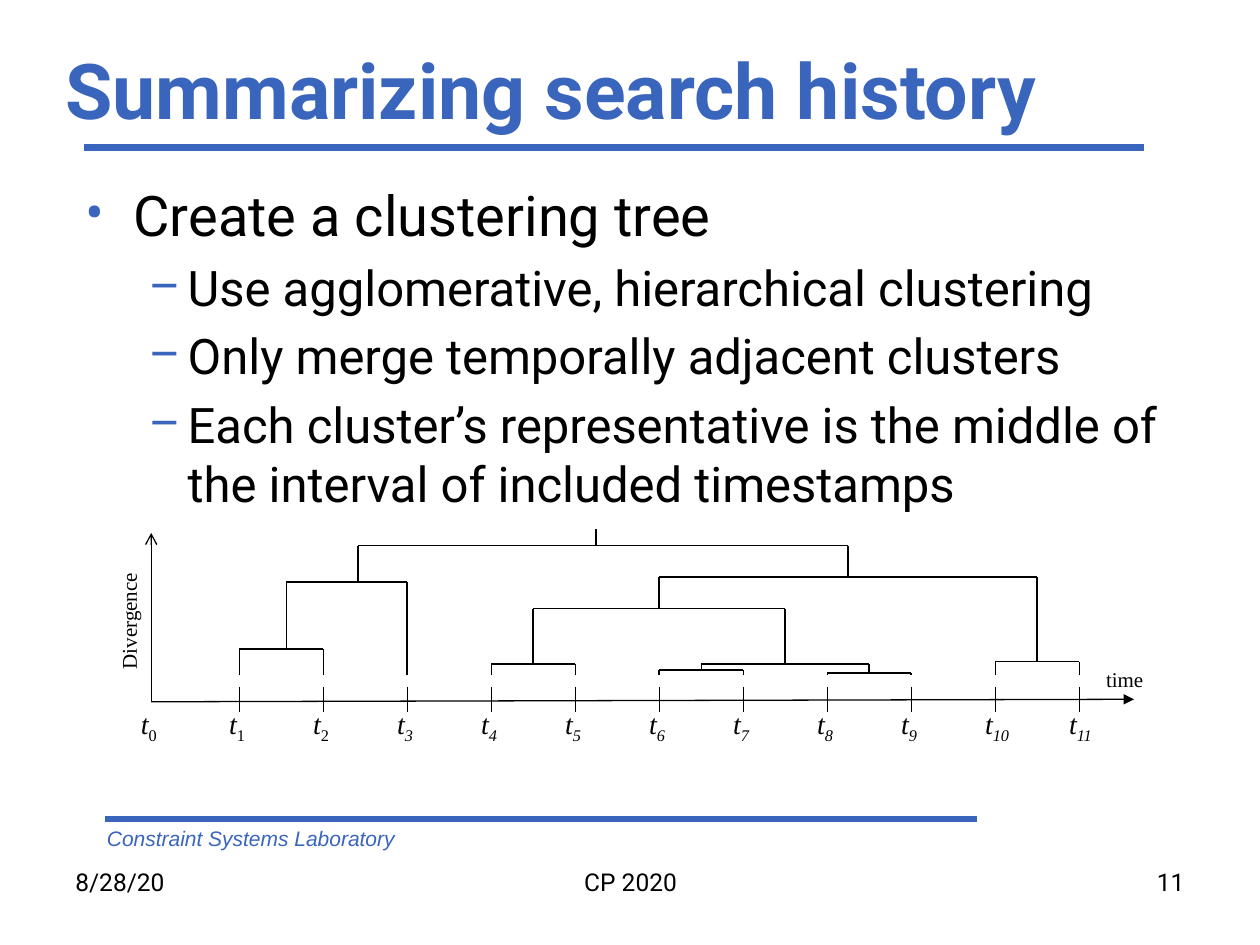
from collections import namedtuple
from dataclasses import dataclass

from lxml.etree import SubElement
from pptx import Presentation
from pptx.dml.color import RGBColor
from pptx.enum.text import MSO_ANCHOR, MSO_AUTO_SIZE, PP_ALIGN
from pptx.oxml.ns import qn
from pptx.util import Inches, Pt

Box = namedtuple("Box", "x y w h")


@dataclass(frozen=True)
class Theme:
    """Hold the colours, fonts and type sizes."""
    blue: RGBColor = RGBColor(0x3A, 0x65, 0xBC)
    black: RGBColor = RGBColor(0, 0, 0)
    main: str = "Roboto"
    serif: str = "Times New Roman"
    sans: str = "Arial"
    title: int = 44
    list: tuple = (32, 28)
    foot: int = 14
    mark: int = 16
    small: int = 12
    bar: float = 4
    axis: float = 0.75
    branch: float = 1


THEME = Theme()
POINTS = [
    (0, "Create a clustering tree"),
    (1, "Use agglomerative, hierarchical clustering"),
    (1, "Only merge temporally adjacent clusters"),
    (1, "Each cluster’s representative is the middle of "
        "the interval of included timestamps"),
]
INDENTS = [(0.38, -0.38, "•"), (0.81, -0.31, "–")]
MERGES = [
    ("1", "2", 0.95, 0.04),
    ("4", "5", 1.07, 0),
    ("6", "7", 1.12, 0),
    ("8", "9", 1.14, 0),
    ("10", "11", 1.05, 0),
    ("1-2", "3", 0.42, 0.09),
    ("6-7", "8-9", 1.07, 0),
    ("4-5", "6-9", 0.63, 0),
    ("4-9", "10-11", 0.38, 0),
    ("1-3", "4-11", 0.13, -0.06),
]


def style(font, size, name=THEME.main, color=THEME.black, **more):
    """Apply format values to a font."""
    for key, value in {"size": Pt(size), "name": name, **more}.items():
        setattr(font, key, value)
    font.color.rgb = color


def place(shape, box):
    """Move a shape into a box."""
    for key, value in zip(("left", "top", "width", "height"), box):
        setattr(shape, key, Inches(value))


def rule(slide, start, end, width, color=THEME.black, **ends):
    """Draw a straight line, with arrowheads given by end name."""
    line = slide.shapes.add_connector(1, *map(Inches, (*start, *end)))
    line.line.width = Pt(width)
    line.line.color.rgb = color
    for name, kind in ends.items():
        SubElement(line.line._get_or_add_ln(), qn(f"a:{name}"), type=kind)
    SubElement(line._element.spPr, qn("a:effectLst"))


def label(slide, box, text, size, align=PP_ALIGN.LEFT, wrap=True, **font):
    """Add a text box with one formatted run and return it."""
    shape = slide.shapes.add_textbox(*map(Inches, box))
    shape.text_frame.word_wrap = wrap
    para = shape.text_frame.paragraphs[0]
    para.alignment = align
    run = para.add_run()
    run.text = text
    style(run.font, size, **font)
    return shape


def head(slide, box):
    """Fill the title and draw the bar below it."""
    title = slide.shapes.title
    place(title, box)
    title.text = "Summarizing search history"
    frame = title.text_frame
    frame.vertical_anchor = MSO_ANCHOR.MIDDLE
    frame.auto_size = MSO_AUTO_SIZE.NONE
    para = frame.paragraphs[0]
    para.alignment = PP_ALIGN.LEFT
    style(para.runs[0].font, THEME.title, color=THEME.blue, bold=True)
    y = box.y + box.h + 0.09
    rule(slide, (box.x + 0.25, y), (box.x + 8.66, y), THEME.bar, THEME.blue)


def points(slide, box):
    """Fill the body with the bullet list."""
    body = slide.placeholders[1]
    place(body, box)
    frame = body.text_frame
    frame.auto_size = MSO_AUTO_SIZE.NONE
    for i, (level, text) in enumerate(POINTS):
        para = frame.add_paragraph() if i else frame.paragraphs[0]
        para.level = level
        run = para.add_run()
        run.text = text
        style(run.font, THEME.list[level])
        margin, indent, sign = INDENTS[level]
        props = para._p.get_or_add_pPr()
        props.set("marL", str(Inches(margin)))
        props.set("indent", str(Inches(indent)))
        color = SubElement(props, qn("a:buClr"))
        SubElement(color, qn("a:srgbClr"), val=str(THEME.blue))
        SubElement(props, qn("a:buFont"), typeface=THEME.main)
        SubElement(props, qn("a:buChar"), char=sign)


def mark(slide, x, y, i):
    """Write a time mark with its subscript."""
    box = Box(x - 0.18, y, 0.34 if i < 10 else 0.42, 0.37)
    shape = label(slide, box, "t", THEME.mark, wrap=False,
                  name=THEME.serif, italic=True)
    sub = shape.text_frame.paragraphs[0].add_run()
    sub.text = str(i)
    style(sub.font, THEME.mark, THEME.serif, italic=i > 2)
    sub._r.get_or_add_rPr().set("baseline", "-25000")


def axes(slide, box, ticks):
    """Draw both axes with their names, ticks and time marks."""
    x, y, w, h = box
    rule(slide, (x, y + 1.37), (x + w, y + 1.35), THEME.axis,
         tailEnd="triangle")
    rule(slide, (x, y + 0.03), (x, y + 1.36), THEME.axis, headEnd="arrow")
    for tick in ticks:
        rule(slide, (tick, y + 1.25), (tick, y + 1.45), THEME.axis)
    for i, tick in enumerate([x, *ticks]):
        mark(slide, tick, y + h - 0.37, i)
    name = label(slide, Box(x - 0.7, y + 0.54, 1.04, 0.3), "Divergence",
                 THEME.small, name=THEME.serif)
    name.rotation = 270
    label(slide, Box(x + w - 0.32, y + 1.04, 0.53, 0.3), "time",
          THEME.small, name=THEME.serif)


def tree(slide, box):
    """Draw the clustering tree above its time axis."""
    ticks = [box.x + 0.7 + i * 2 / 3 for i in range(11)]
    axes(slide, box, ticks)
    nodes = {str(i): (x, box.y + 1.16) for i, x in enumerate(ticks, 1)}
    for left, right, drop, shift in MERGES:
        y = box.y + drop
        pair = nodes[left], nodes[right]
        tops = [(x, y) for x, low in pair]
        for low, top in zip(pair, tops):
            rule(slide, low, top, THEME.branch)
        rule(slide, *tops, THEME.branch)
        first, last = left.split("-")[0], right.split("-")[-1]
        root = sum(x for x, top in tops) / 2 + shift, y
        nodes[f"{first}-{last}"] = root
    rule(slide, root, (root[0], box.y), THEME.branch)


def foot(slide, box):
    """Draw the lower bar, the lab name and the footer texts."""
    x, y, w, h = box
    rule(slide, (x + 0.33, y), (x + 7.25, y), THEME.bar, THEME.blue)
    label(slide, Box(x + 0.25, y, 5.25, 0.3), "Constraint Systems Laboratory",
          THEME.small, name=THEME.sans, color=THEME.blue, italic=True)
    for left, width, text, align in (
            (0, 2.33, "8/28/20", PP_ALIGN.LEFT),
            (2.92, 3.17, "CP 2020", PP_ALIGN.CENTER),
            (w - 2.33, 2.33, "11", PP_ALIGN.RIGHT)):
        label(slide, Box(x + left, y + h - 0.52, width, 0.52), text,
              THEME.foot, align)


def main():
    """Build and save the deck."""
    deck = Presentation()
    deck.slide_width, deck.slide_height = Inches(10), Inches(7.5)
    slide = deck.slides.add_slide(deck.slide_layouts[1])
    head(slide, Box(0.42, 0.33, 9, 0.75))
    points(slide, Box(0.58, 1.38, 8.92, 2.74))
    tree(slide, Box(1.2, 4.2, 7.8, 1.73))
    foot(slide, Box(0.5, 6.5, 9, 0.85))
    deck.save("out.pptx")


if __name__ == "__main__":
    main()
